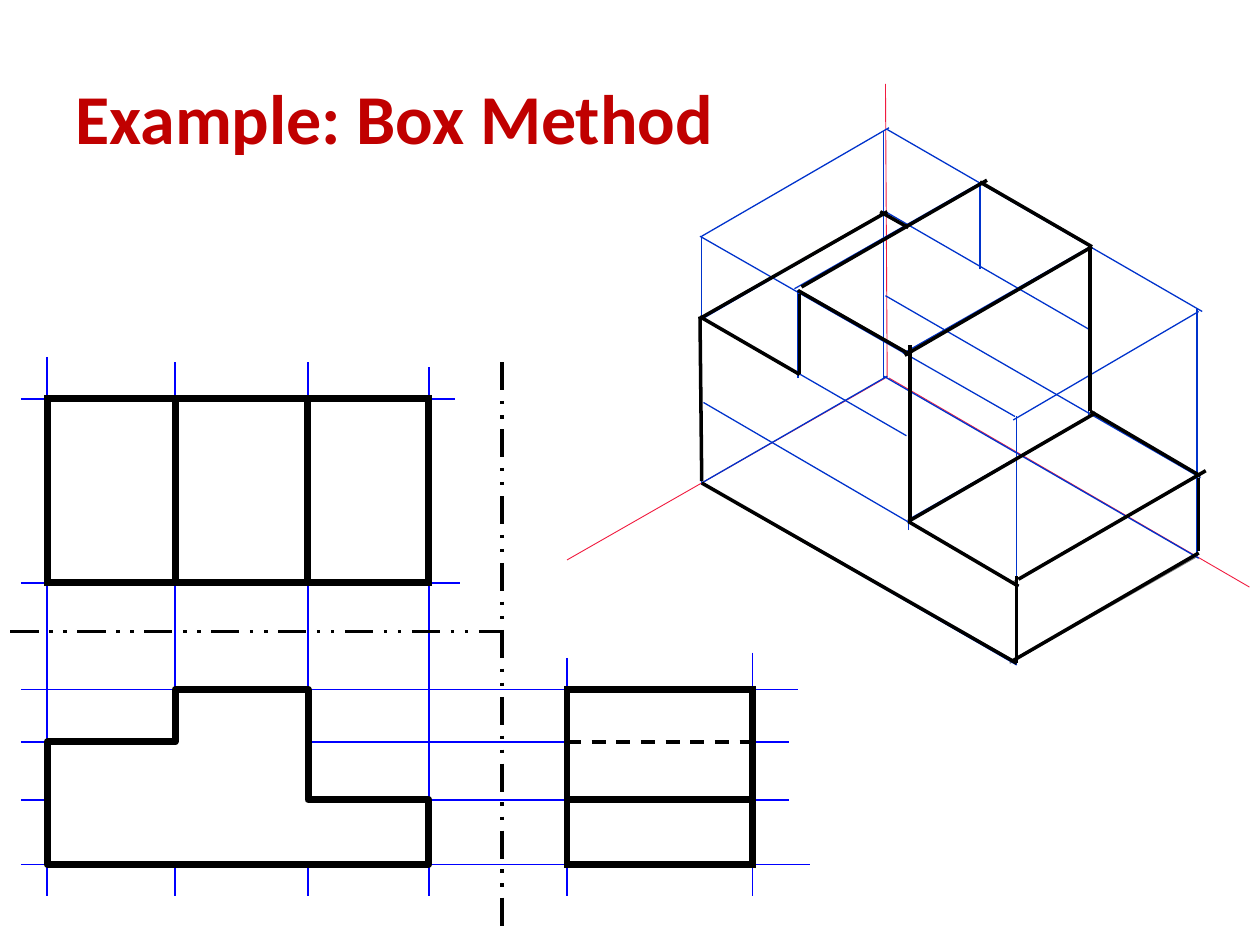
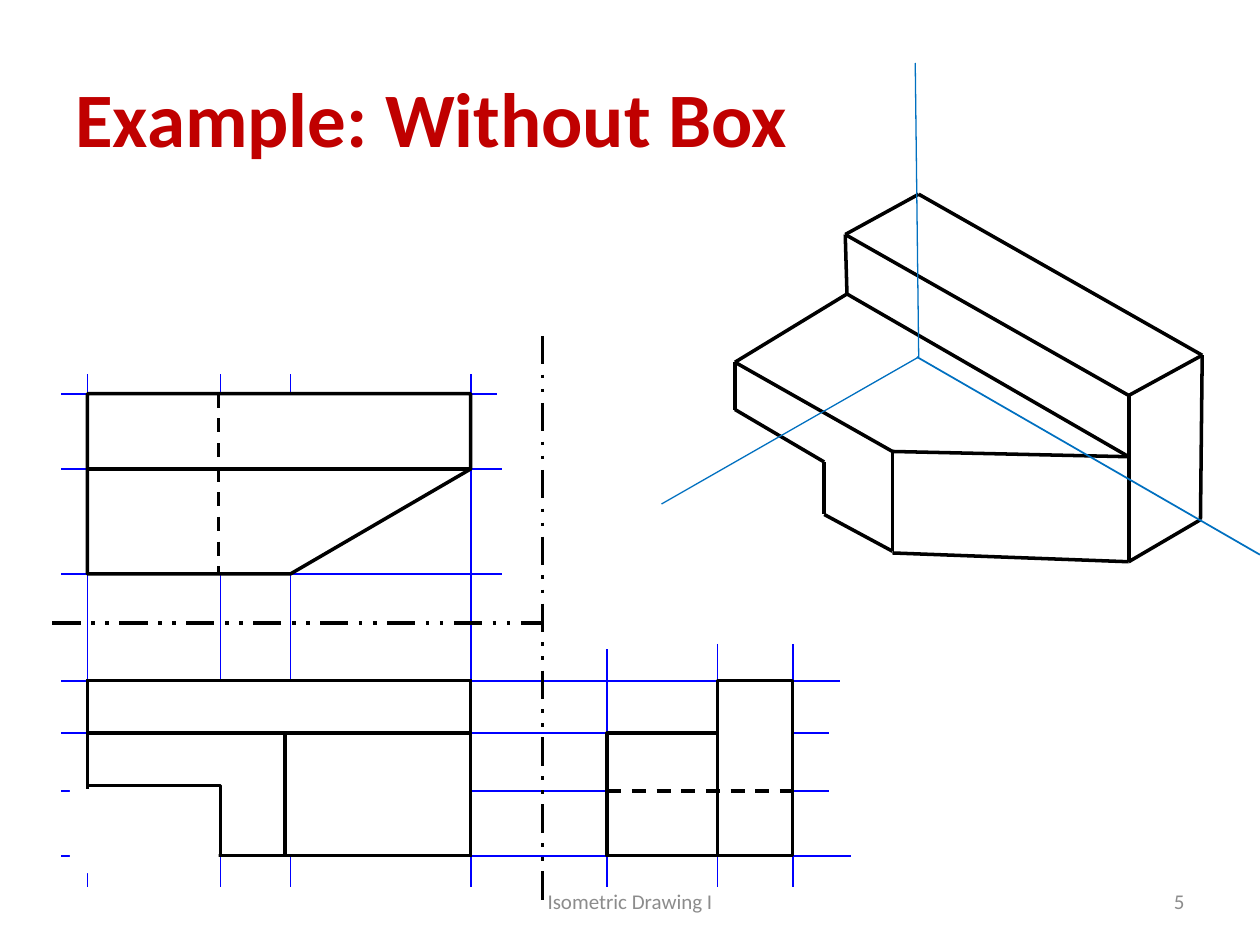
from itertools import pairwise

from pptx import Presentation
from pptx.dml.color import RGBColor
from pptx.enum.dml import MSO_LINE
from pptx.enum.shapes import MSO_CONNECTOR, MSO_SHAPE
from pptx.enum.text import MSO_ANCHOR, PP_ALIGN
from pptx.oxml.ns import qn
from pptx.util import Pt
from lxml.etree import SubElement

RED = RGBColor(0xC0, 0x00, 0x00)
ROSE = RGBColor(0xF1, 0x1B, 0x3F)
BLUE = RGBColor(0x00, 0x00, 0xFF)
NAVY = RGBColor(0x00, 0x33, 0xCC)
AZURE = RGBColor(0x00, 0x70, 0xC0)
GRAY = RGBColor(0x80, 0x80, 0x80)
PALE = RGBColor(0x8C, 0x8C, 0x8C)
BLACK = RGBColor(0, 0, 0)
WHITE = RGBColor(0xFF, 0xFF, 0xFF)

EDGE = {"color": BLACK, "width": Pt(2)}
BOLD = {"color": BLACK, "width": Pt(4)}
DASH = EDGE | {"dash_style": MSO_LINE.DASH}
FOLD = EDGE | {"dash_style": MSO_LINE.DASH_DOT_DOT}
GUIDE = {"color": BLUE, "width": Pt(1)}
AXIS = {"color": ROSE, "width": Pt(0.5)}
BOX = {"color": NAVY, "width": Pt(0.75)}
BACK = {"color": GRAY, "width": Pt(0.75)}
RAY = {"color": AZURE, "width": Pt(0.75)}

BOX_AXES = [(506, 48, 507, 216), (508, 216, 714, 335.5), (506, 216, 324, 320)]
BOX_BACK = [(684, 318, 577, 379), (685, 272, 578, 333)]
BOX_THIN = [
    (401, 276, 581, 380), (505, 215, 685, 319), (507, 215, 401, 276),
    (401, 276, 401, 135), (505, 216, 505, 75), (581, 380, 581, 238),
    (684, 318, 684, 176), (400, 135, 580, 238), (507, 74, 687, 178),
    (508, 73, 401, 135), (685, 178, 579, 240), (402, 230, 582, 335),
    (506, 169, 686, 273), (519, 303, 519, 201), (622, 238, 622, 139),
    (623, 141, 516, 202), (456, 216, 456, 166), (560, 154, 560, 104),
    (561, 104, 454, 165), (402, 182, 518, 249), (506, 121, 622, 188),
    (507, 121, 400, 183), (626, 236, 519, 297),
]
BOX_EDGES = [
    (401, 276, 581, 379), (581, 379, 581, 329), (519, 298, 582, 335),
    (520, 299, 520, 197), (456, 166, 519, 202), (457, 214, 457, 168),
    (400, 181, 457, 214), (401, 275, 400, 181), (685, 316, 578, 378),
    (685, 315, 685, 273), (689, 269, 582, 331), (623, 235, 686, 272),
    (626, 236, 519, 298), (623, 235, 623, 140), (624, 141, 517, 203),
    (560, 104, 624, 141), (564, 103, 458, 164), (507, 121, 400, 182),
    (503, 121, 519, 130),
]
FREE_EDGES = [
    [(645, 261), (510, 258), (420, 207), (420, 234), (471, 264),
     (471, 294), (510, 315), (510, 258)],
    [(510, 316), (645, 321), (686, 297), (687, 203), (645, 226), (645, 321)],
    [(420, 207), (484, 168), (645, 261)],
    [(484, 168), (483, 134), (645, 226)],
    [(483, 134), (525, 111), (687, 203)],
]


class Kit:
    """Hold the deck style and the current slide, and draw each kind of element."""

    def __init__(self):
        self.deck = Presentation()
        self.deck.slide_width, self.deck.slide_height = Pt(720), Pt(540)
        self.shapes = None

    def page(self, title, size):
        self.shapes = self.deck.slides.add_slide(self.deck.slide_layouts[6]).shapes
        self.text(title, (36, 21.6, 648, 90), RED, size=Pt(size), bold=True)

    def text(self, words, spot, color, align=PP_ALIGN.LEFT, **form):
        frame = self.shapes.add_textbox(*map(Pt, spot)).text_frame
        frame.word_wrap = True
        frame.vertical_anchor = MSO_ANCHOR.MIDDLE
        para = frame.paragraphs[0]
        para.text, para.alignment = words, align
        font = para.runs[0].font
        font.color.rgb = color
        for key, value in ({"name": "Calibri"} | form).items():
            setattr(font, key, value)

    def pen(self, line, style):
        line.color.rgb = style["color"]
        for key, value in style.items():
            if key != "color":
                setattr(line, key, value)

    def line(self, ends, style):
        link = self.shapes.add_connector(MSO_CONNECTOR.STRAIGHT, *map(Pt, ends))
        self.pen(link.line, style)
        SubElement(link._element.spPr, qn("a:effectLst"))

    def lines(self, group, style):
        for ends in group:
            self.line(ends, style)

    def chain(self, dots, style):
        self.lines([(*a, *b) for a, b in pairwise(dots)], style)

    def grid(self, left, low, tops, rights):
        self.lines([(x, top, x, low) for x, top in tops.items()], GUIDE)
        self.lines([(left, y, right, y) for y, right in rights.items()], GUIDE)

    def fill(self, shape, style):
        shape.shadow.inherit = False
        shape.fill.solid()
        shape.fill.fore_color.rgb = WHITE
        if style:
            self.pen(shape.line, style)
        else:
            shape.line.fill.background()

    def rect(self, spot, style=None):
        shape = self.shapes.add_shape(MSO_SHAPE.RECTANGLE, *map(Pt, spot))
        self.fill(shape, style)
        if style:
            SubElement(shape._element.spPr.find(qn("a:ln")), qn("a:miter"), lim="800000")

    def shape(self, dots, style):
        form = self.shapes.build_freeform(*dots[0], scale=Pt(1))
        form.add_line_segments(dots[1:], close=True)
        self.fill(form.convert_to_shape(), style)


def box_page(kit):
    kit.page("Example: Box Method", 40)
    kit.grid(12, 512,
             {27: 204, 100: 207, 176: 207, 245: 210, 324: 376, 430: 373},
             {228: 260, 333: 263, 394: 456, 424: 451, 457: 451, 494: 463})
    kit.lines([(6, 361, 287, 361), (287, 207, 287, 533)], FOLD)
    kit.rect((27, 228, 218, 105), BOLD)
    kit.rect((100, 228, 76, 105), BOLD)
    kit.shape([(27, 494), (245, 494), (245, 457), (176, 457),
               (176, 394), (100, 394), (100, 424), (27, 424)], BOLD)
    kit.rect((324, 394, 106, 100), BOLD)
    kit.line((324, 457, 430, 457), BOLD)
    kit.line((324, 424, 430, 424), DASH)
    kit.lines(BOX_AXES, AXIS)
    kit.lines(BOX_BACK, BACK)
    kit.lines(BOX_THIN, BOX)
    kit.lines(BOX_EDGES, EDGE)


def free_page(kit):
    kit.page("Example: Without Box", 44)
    for dots in FREE_EDGES:
        kit.chain(dots, EDGE)
    kit.grid(35, 507,
             dict.fromkeys((50, 126, 166, 269), 214) | {347: 371, 410: 368, 453: 368},
             {225: 284, 268: 287, 328: 287, 389: 480, 419: 474, 452: 474, 489: 486})
    kit.lines([(30, 356, 310, 356), (310, 192, 310, 518)], FOLD)
    kit.shape([(50, 225), (50, 328), (166, 328), (269, 268), (269, 225)], EDGE)
    kit.line((125, 225, 125, 328), DASH)
    kit.line((50, 268, 269, 268), EDGE)
    kit.rect((50, 389, 219, 100), EDGE)
    kit.rect((50, 389, 219, 30), EDGE)
    kit.shape([(50, 419), (163, 419), (163, 489), (126, 489),
               (126, 449), (50, 449)], EDGE)
    kit.shape([(453, 389), (453, 489), (347, 489), (347, 419),
               (410, 419), (410, 389)], EDGE)
    kit.line((347, 452, 453, 452), DASH)
    kit.line((410, 419, 410, 489), EDGE)
    kit.rect((40, 451, 85, 48))
    kit.lines([(525, 204, 378, 288), (523, 36, 525, 204)], RAY)
    kit.line((524, 204, 720, 317), RAY | {"width": Pt(1)})
    kit.text("Isometric Drawing I", (246, 500.5, 228, 28.8), PALE,
             PP_ALIGN.CENTER, size=Pt(12))
    kit.text("5", (516, 500.5, 168, 28.8), PALE, PP_ALIGN.RIGHT, size=Pt(12))


def main():
    kit = Kit()
    box_page(kit)
    free_page(kit)
    kit.deck.save("out.pptx")


if __name__ == "__main__":
    main()
